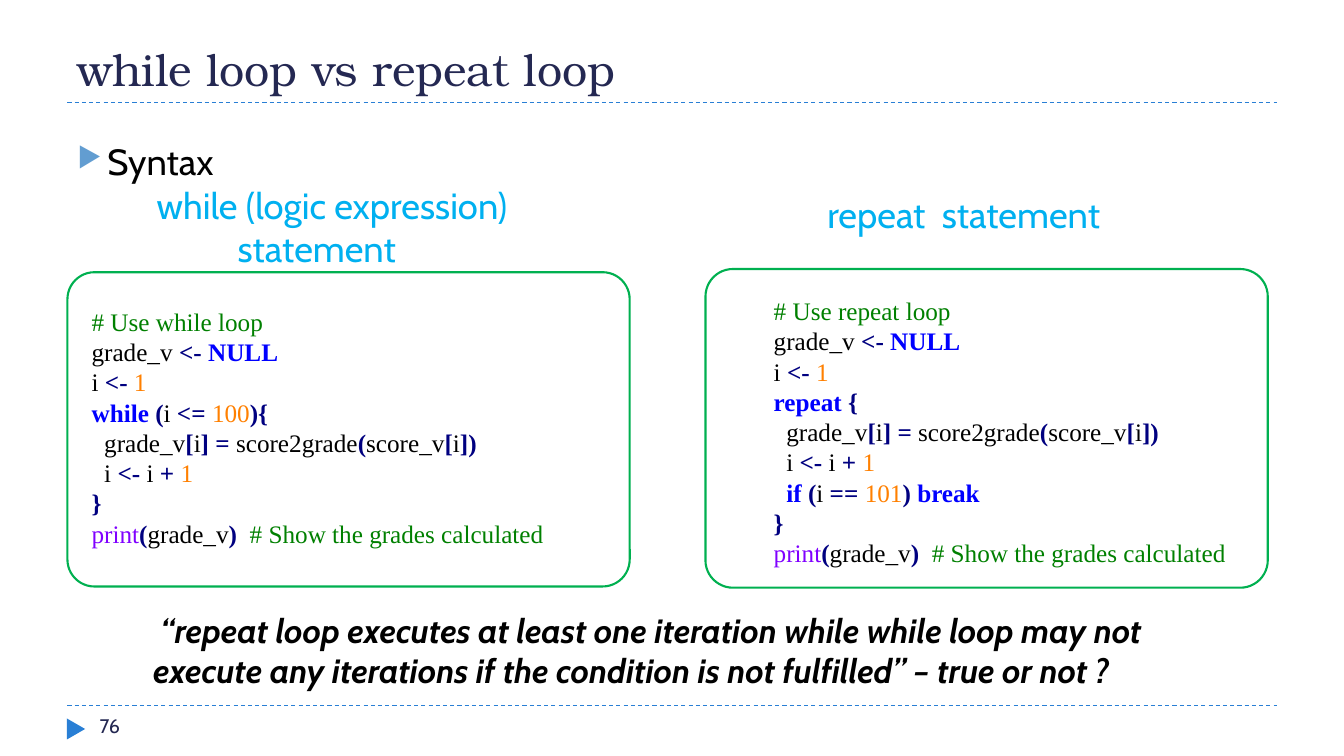
from itertools import groupby

from lxml import etree
from pptx import Presentation
from pptx.dml.color import RGBColor
from pptx.enum import dml, shapes, text
from pptx.oxml.ns import qn
from pptx.util import Cm, Pt

NAVY_TITLE = RGBColor(0x24, 0x28, 0x52)
BLUE = RGBColor(0x29, 0x7F, 0xD5)
BULLET_BLUE = RGBColor(0x62, 0x9D, 0xD1)
SKY = RGBColor(0x00, 0xB0, 0xF0)
FRAME_GREEN = RGBColor(0x00, 0xB0, 0x50)
BLACK = RGBColor(0x00, 0x00, 0x00)
COMMENT_GREEN = RGBColor(0x00, 0x80, 0x00)
OPERATOR_NAVY = RGBColor(0x00, 0x00, 0x80)
KEYWORD_BLUE = RGBColor(0x00, 0x00, 0xFF)
NUMBER_ORANGE = RGBColor(0xFF, 0x80, 0x00)
FUNCTION_VIOLET = RGBColor(0x80, 0x00, 0xFF)

KEYWORDS = {"while", "repeat", "if", "break", "NULL"}

TITLE = {"name": "TeX Gyre Bonum", "size": Pt(32), "color": NAVY_TITLE}
PAGE = {"name": "Cabin", "size": Pt(14), "color": NAVY_TITLE}
TOPIC = {"name": "Cabin", "size": Pt(26), "color": BLACK}
SYNTAX = {**TOPIC, "color": SKY}
QUOTE = {"name": "Cabin", "size": Pt(24), "color": BLACK, "bold": True, "italic": True}
CODE = {"name": "Times New Roman", "size": Pt(18)}

WHILE_CODE = """# Use while loop
grade_v <- NULL
i <- 1
while (i <= 100){
  grade_v[i] = score2grade(score_v[i])
  i <- i + 1
}
print(grade_v)  # Show the grades calculated"""

REPEAT_CODE = """# Use repeat loop
grade_v <- NULL
i <- 1
repeat {
  grade_v[i] = score2grade(score_v[i])
  i <- i + 1
  if (i == 101) break
}
print(grade_v)  # Show the grades calculated"""


def add_run(paragraph, words, style):
    run = paragraph.add_run()
    run.text = words
    for key, value in style.items():
        if key == "color":
            run.font.color.rgb = value
        else:
            setattr(run.font, key, value)


def add_text_frame(slide, left, top, width, height, **settings):
    box = slide.shapes.add_textbox(Cm(left), Cm(top), Cm(width), Cm(height))
    frame = box.text_frame
    for key, value in {"word_wrap": True, **settings}.items():
        setattr(frame, key, value)
    return frame


def add_line_of_text(frame, words, style, indent=0, first=False):
    paragraph = frame.paragraphs[0] if first else frame.add_paragraph()
    paragraph._p.get_or_add_pPr().set("marL", str(Cm(indent)))
    add_run(paragraph, words, style)
    return paragraph


def add_bullet(paragraph, hanging):
    props = paragraph._p.get_or_add_pPr()
    props.set("marL", str(Cm(hanging)))
    props.set("indent", str(-Cm(hanging)))
    color = etree.SubElement(props, qn("a:buClr"))
    etree.SubElement(color, qn("a:srgbClr"), val=str(BULLET_BLUE))
    etree.SubElement(props, qn("a:buSzPct"), val="76000")
    etree.SubElement(props, qn("a:buChar"), char="▶")


def add_dashed_rule(slide, y):
    rule = slide.shapes.add_connector(
        shapes.MSO_CONNECTOR.STRAIGHT, Cm(1.7), Cm(y), Cm(32.18), Cm(y))
    rule.line.color.rgb = BLUE
    rule.line.width = Pt(0.75)
    rule.line.dash_style = dml.MSO_LINE.DASH
    etree.SubElement(rule._element.spPr, qn("a:effectLst"))


def add_page_marker(slide):
    marker = slide.shapes.add_shape(
        shapes.MSO_SHAPE.ISOSCELES_TRIANGLE, Cm(1.65), Cm(18.14), Cm(0.53), Cm(0.46))
    marker.rotation = 90
    marker.shadow.inherit = False
    marker.fill.solid()
    marker.fill.fore_color.rgb = BLUE
    marker.line.fill.background()


def add_code_frame(slide, left, top, height):
    outline = slide.shapes.add_shape(
        shapes.MSO_SHAPE.ROUNDED_RECTANGLE, Cm(left), Cm(top), Cm(14.17), Cm(height))
    outline.adjustments[0] = 0.086
    outline.shadow.inherit = False
    outline.fill.background()
    outline.line.color.rgb = FRAME_GREEN
    outline.line.width = Pt(1.5)


def char_class(char):
    if char.isspace():
        return "space"
    return "word" if char.isalnum() or char == "_" else "symbol"


def token_style(kind, token):
    """Give the colour and weight of one token of R code."""
    if kind == "symbol":
        return {"color": OPERATOR_NAVY, "bold": True}
    if token in KEYWORDS:
        return {"color": KEYWORD_BLUE, "bold": True}
    if token == "print":
        return {"color": FUNCTION_VIOLET}
    return {"color": NUMBER_ORANGE if token.isdigit() else BLACK}


def add_code(slide, left, top, height, code):
    frame = add_text_frame(slide, left, top, 12.7, height)
    for number, line in enumerate(code.splitlines()):
        paragraph = frame.add_paragraph() if number else frame.paragraphs[0]
        statement, mark, comment = line.partition("#")
        for kind, chars in groupby(statement, char_class):
            token = "".join(chars)
            add_run(paragraph, token, {**CODE, **token_style(kind, token)})
        if mark:
            add_run(paragraph, mark + comment, {**CODE, "color": COMMENT_GREEN})


def main():
    deck = Presentation()
    deck.slide_width, deck.slide_height = Cm(33.87), Cm(19.05)
    slide = deck.slides.add_slide(deck.slide_layouts[6])

    for y in (17.78, 2.59):
        add_dashed_rule(slide, y)
    add_page_marker(slide)

    heading = add_text_frame(slide, 1.7, 0, 30.48, 2.54,
                             vertical_anchor=text.MSO_ANCHOR.BOTTOM)
    add_line_of_text(heading, "while loop vs repeat loop", TITLE, first=True)
    page = add_text_frame(slide, 2.26, 17.86, 7.34, 0.81)
    add_line_of_text(page, "76", PAGE, first=True)

    while_syntax = add_text_frame(slide, 1.7, 3.38, 14.96, 13.72)
    add_bullet(add_line_of_text(while_syntax, "Syntax", TOPIC, first=True), 0.76)
    add_line_of_text(while_syntax, "while (logic expression)", SYNTAX, indent=2)
    add_line_of_text(while_syntax, "statement", SYNTAX, indent=4.04)

    repeat_syntax = add_text_frame(slide, 17.15, 3.38, 14.96, 13.72, margin_top=Cm(1.45))
    add_line_of_text(repeat_syntax, "repeat  statement", SYNTAX, indent=3.45, first=True)

    add_code_frame(slide, 1.7, 6.86, 7.92)
    add_code(slide, 2.06, 7.59, 6.4, WHILE_CODE)
    add_code_frame(slide, 17.78, 6.78, 8.03)
    add_code(slide, 19.25, 7.32, 7.19, REPEAT_CODE)

    quote = add_text_frame(slide, 3.61, 15.24, 26.67, 2.31)
    add_line_of_text(
        quote, " “repeat loop executes at least one iteration while while loop may not "
        "execute any iterations if the condition is not fulfilled” – true or not ?",
        QUOTE, first=True)

    deck.save("out.pptx")


if __name__ == "__main__":
    main()
